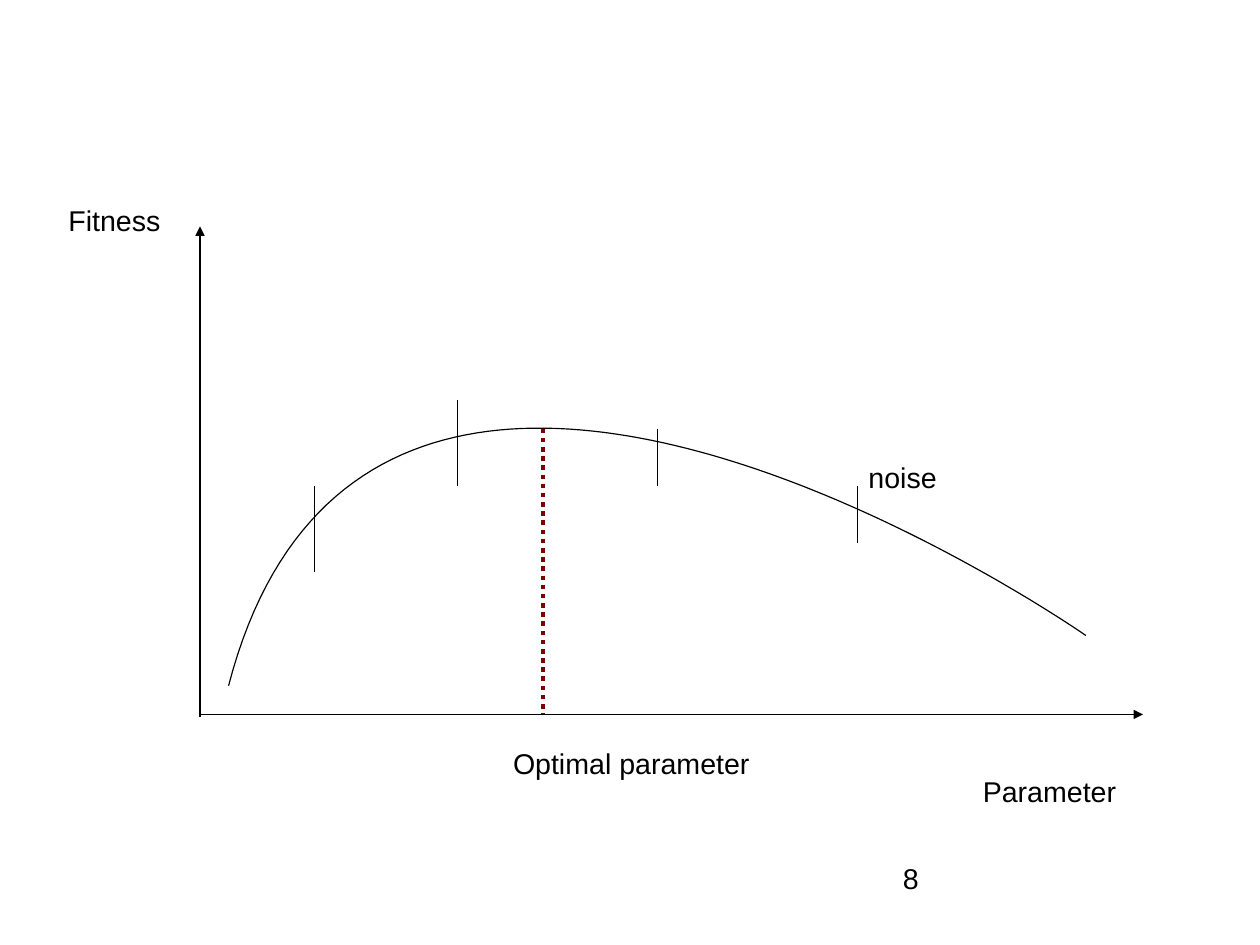
from dataclasses import dataclass

from lxml import etree
from pptx import Presentation
from pptx.dml.color import RGBColor
from pptx.enum.dml import MSO_LINE
from pptx.enum.shapes import MSO_CONNECTOR
from pptx.oxml.ns import qn
from pptx.util import Inches, Pt

STRAIGHT = MSO_CONNECTOR.STRAIGHT
DOTTED = MSO_LINE.ROUND_DOT
CM_PER_INCH = 2.54


@dataclass(frozen=True)
class Theme:
    ink: RGBColor = RGBColor(0, 0, 0)
    accent: RGBColor = RGBColor(0x80, 0, 0)
    font: str = "Arial"
    text_size: float = 18
    line_spacing: float = 0.93
    thin: float = 0.75
    thick: float = 2.89


class Sketch:
    def __init__(self, page, theme):
        self.page = page
        self.theme = theme

    def apply(self, target, values):
        for name, value in values.items():
            setattr(target, name, value)

    def label(self, text, left, top, width, height, inset=(0.1, 0.05)):
        box = self.page.shapes.add_textbox(
            Inches(left), Inches(top), Inches(width), Inches(height))
        across, down = map(Inches, inset)
        self.apply(box.text_frame, {
            "word_wrap": True, "margin_left": across, "margin_right": across,
            "margin_top": down, "margin_bottom": down})
        para = box.text_frame.paragraphs[0]
        para.line_spacing = self.theme.line_spacing
        span = para.add_run()
        span.text = text
        self.apply(span.font, {"name": self.theme.font, "size": Pt(self.theme.text_size)})
        span.font.color.rgb = self.theme.ink

    def stroke(self, line, color, width):
        line.color.rgb = color
        line.width = Pt(width)

    def line(self, start, end, arrow=False, marker=False):
        theme = self.theme
        connector = self.page.shapes.add_connector(
            STRAIGHT, *(Inches(value) for value in (*start, *end)))
        if marker:
            self.stroke(connector.line, theme.accent, theme.thick)
            connector.line.dash_style = DOTTED
        else:
            self.stroke(connector.line, theme.ink, theme.thin)
        properties = connector.element.spPr
        if arrow:
            outline = properties.find(qn("a:ln"))
            etree.SubElement(outline, qn("a:tailEnd"), type="triangle")
        etree.SubElement(properties, qn("a:effectLst"))

    def curve(self, start, control, end, steps=100):
        points = []
        for step in range(steps + 1):
            t = step / steps
            weights = ((1 - t) ** 3, 3 * t * (1 - t) ** 2, t * t * (3 - 2 * t))
            points.append(tuple(
                Inches(sum(w * value for w, value in zip(weights, values)))
                for values in zip(start, control, end)))
        builder = self.page.shapes.build_freeform(*points[0])
        builder.add_line_segments(points[1:], close=False)
        shape = builder.convert_to_shape()
        shape.shadow.inherit = False
        shape.fill.background()
        self.stroke(shape.line, self.theme.ink, self.theme.thin)


def main():
    deck = Presentation()
    deck.slide_width = Inches(28 / CM_PER_INCH)
    deck.slide_height = Inches(21 / CM_PER_INCH)
    page = deck.slides.add_slide(deck.slide_layouts[6])
    sketch = Sketch(page, Theme())

    sketch.line((1.75, 6.25), (10, 6.25), arrow=True)
    sketch.line((1.75, 6.27), (1.75, 1.98), arrow=True)
    sketch.label("Fitness", 0.5, 1.75, 1.15, 0.38)
    sketch.label("Parameter", 8.5, 6.75, 1.5, 0.38)
    sketch.curve((2, 6), (3.25, 1.2), (9.5, 5.56))
    sketch.line((4.75, 3.75), (4.75, 6.25), marker=True)
    sketch.label("Optimal parameter", 4.39, 6.5, 2.4, 0.38)

    noise_bars = [(7.5, 4.25, 4.75), (5.75, 3.75, 4.25), (2.75, 4.25, 5), (4, 3.5, 4.25)]
    for x, top, bottom in noise_bars:
        sketch.line((x, top), (x, bottom))
    sketch.label("noise", 7.5, 4, 1.5, 0.5)
    sketch.label("8", 7.9, 7.53, 2.55, 0.55, inset=(0, 0.03))

    deck.save("out.pptx")


if __name__ == "__main__":
    main()
